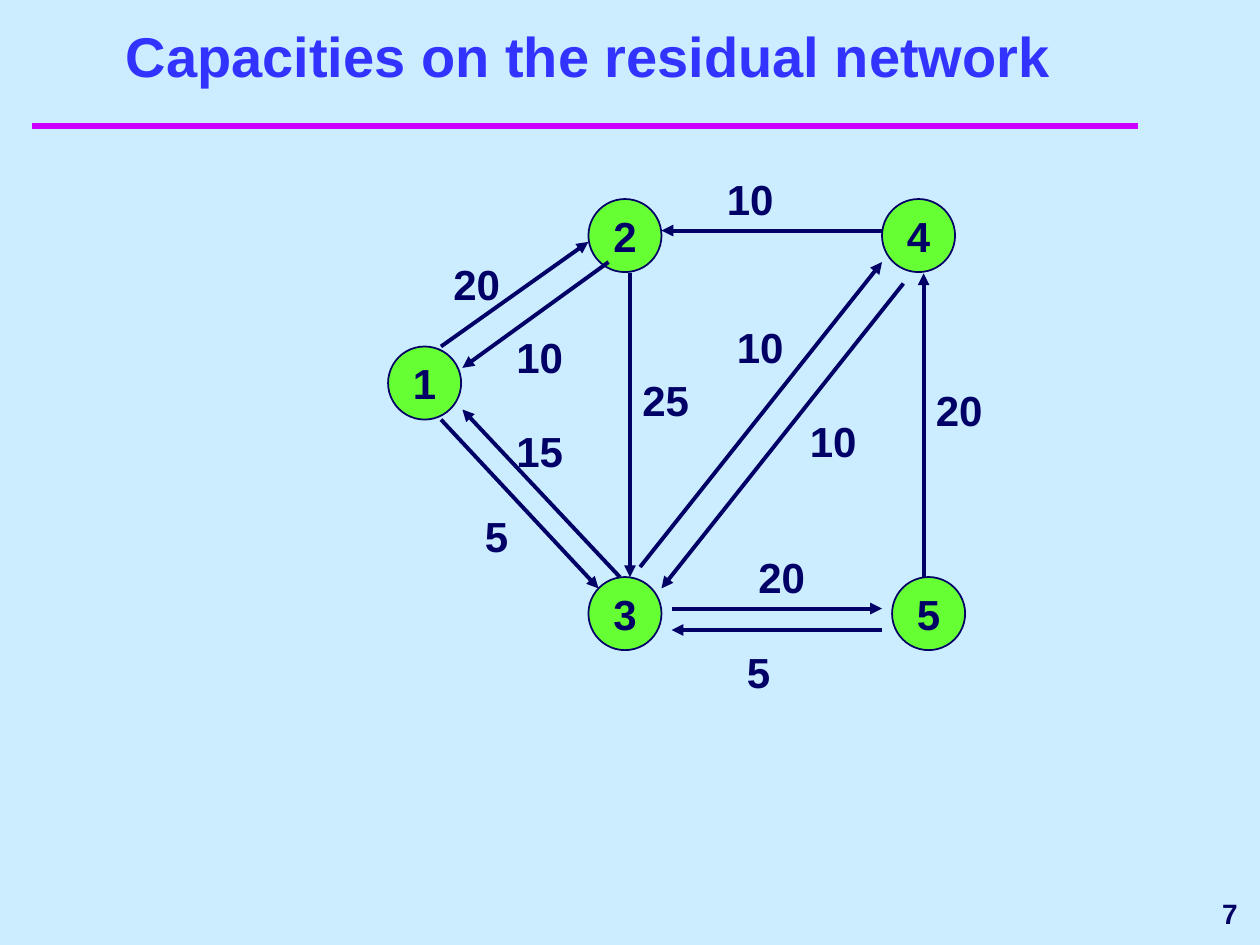
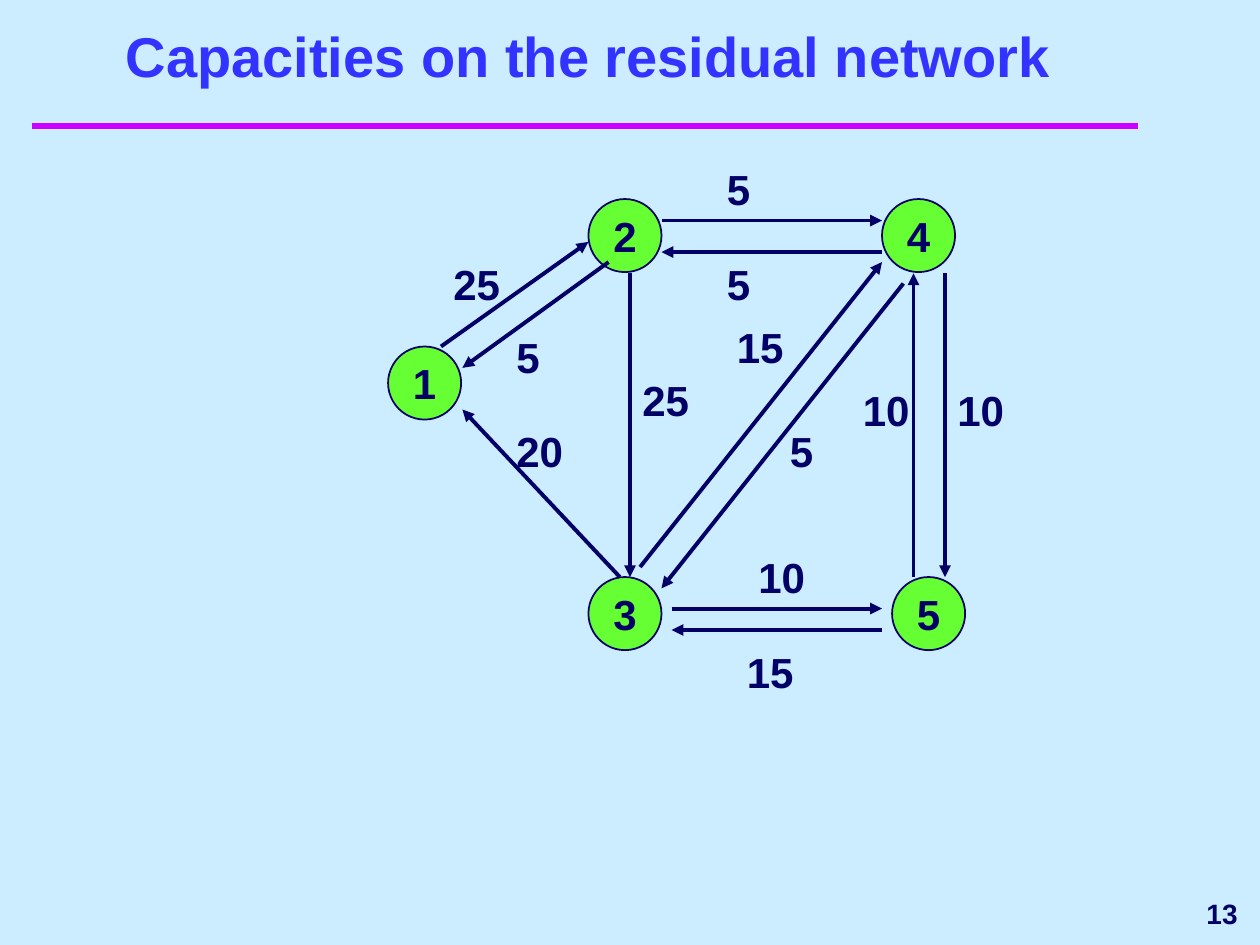
from pptx import Presentation
from pptx.dml.color import RGBColor as RGB
from pptx.enum.shapes import MSO_CONNECTOR as LINK, MSO_SHAPE as SHAPE
from pptx.enum.text import MSO_ANCHOR as ANCHOR, MSO_AUTO_SIZE as AUTO, PP_ALIGN as ALIGN
from pptx.oxml.ns import qn
from pptx.util import Inches, Pt
from lxml.etree import SubElement as add_sub

# Shared look
SKY, NAVY, BLUE = "CCECFF", "000066", "3333FF"
GREEN, PINK = "66FF33", "CC00FF"
FONT = "Arial"
TITLE = "Capacities on the residual network"

# Network nodes: name -> left, top
SIZE = 0.58
NODES = {"1": (3.08, 2.75), "2": (4.67, 1.58), "4": (7, 1.58),
         "3": (4.67, 4.58), "5": (7.08, 4.58)}

# Arcs on both slides: (from, to) -> tail point, tip point
ARCS = {
    "12": ((3.5, 2.75), (4.67, 1.92)),
    "21": ((4.83, 2.08), (3.67, 2.92)),
    "23": ((5, 2.17), (5, 4.58)),
    "31": ((4.92, 4.58), (3.67, 3.25)),
    "34": ((5.08, 4.5), (7, 2.08)),
    "43": ((7.17, 2.25), (5.25, 4.67)),
    "35": ((5.33, 4.83), (7, 4.83)),
    "53": ((7, 5), (5.33, 5)),
}
# Label corners on both slides
SPOTS = {"12": (3.5, 2), "21": (4, 2.58), "23": (5, 2.92), "31": (4, 3.33),
         "34": (5.75, 2.5), "35": (5.92, 4.33), "53": (5.83, 5.08)}
WIDE, SLIM = 1.17, 0.67
SLIM_ARCS = ("13", "35")

# Each slide: page, capacities, own arcs, own label corners
STEPS = [
    ("7",
     {"12": 20, "21": 10, "23": 25, "31": 15, "34": 10, "43": 10,
      "35": 20, "53": 5, "13": 5, "42": 10, "54": 20},
     {"13": ((3.5, 3.33), (4.75, 4.67)),
      "42": ((7, 1.83), (5.25, 1.83)),
      "54": ((7.33, 4.58), (7.33, 2.17))},
     {"13": (3.75, 4), "42": (5.67, 1.33), "54": (7.33, 3), "43": (6.33, 3.25)}),
    ("13",
     {"12": 25, "21": 5, "23": 25, "31": 20, "34": 15, "43": 5,
      "35": 10, "53": 15, "24": 5, "42": 5, "54": 10, "45": 10},
     {"24": ((5.25, 1.75), (7, 1.75)),
      "42": ((7, 2), (5.25, 2)),
      "54": ((7.25, 4.58), (7.25, 2.17)),
      "45": ((7.5, 2.17), (7.5, 4.58))},
     {"24": (5.67, 1.25), "42": (5.67, 2), "54": (6.75, 3), "45": (7.5, 3),
      "43": (6.17, 3.33)}),
]


def paint(target, color):
    """Give a fill one solid colour."""
    target.solid()
    target.fore_color.rgb = RGB.from_string(color)


def write(frame, text, size=24, color=NAVY, align=ALIGN.LEFT):
    para = frame.paragraphs[0]
    para.text = text
    para.alignment = align
    font = para.font
    font.name, font.size, font.bold = FONT, Pt(size), True
    font.color.rgb = RGB.from_string(color)


def add_text(slide, text, box, anchor=ANCHOR.TOP, fit=AUTO.NONE, **style):
    frame = slide.shapes.add_textbox(*map(Inches, box)).text_frame
    frame.word_wrap = True
    frame.auto_size = fit
    frame.vertical_anchor = anchor
    write(frame, text, **style)


def add_line(slide, start, end, color=NAVY, width=2.25, arrow=True):
    line = slide.shapes.add_connector(LINK.STRAIGHT, *map(Inches, start + end))
    paint(line.line.fill, color)
    line.line.width = Pt(width)
    props = line.element.spPr
    if arrow:
        add_sub(props.find(qn("a:ln")), qn("a:tailEnd"), type="triangle")
    add_sub(props, qn("a:effectLst"))


def add_node(slide, name, spot):
    node = slide.shapes.add_shape(SHAPE.OVAL, *map(Inches, spot + (SIZE, SIZE)))
    node.shadow.inherit = False
    paint(node.fill, GREEN)
    paint(node.line.fill, NAVY)
    node.line.width = Pt(1)
    frame = node.text_frame
    frame.word_wrap = False
    frame.vertical_anchor = ANCHOR.MIDDLE
    write(frame, name, align=ALIGN.CENTER)


def add_frame(deck, page):
    """Start a slide with background, rule, title and page number."""
    slide = deck.slides.add_slide(deck.slide_layouts[6])
    paint(slide.background.fill, SKY)
    add_line(slide, (0.25, 1), (9.03, 1), PINK, 4, arrow=False)
    add_text(slide, TITLE, (0.42, 0.33, 8.5, 0.42), ANCHOR.BOTTOM,
             size=32, color=BLUE, align=ALIGN.CENTER)
    add_text(slide, page, (8, 7, 1.92, 0.5), ANCHOR.MIDDLE,
             size=16, align=ALIGN.RIGHT)
    return slide


def add_graph(slide, caps, arcs, spots):
    for name, spot in NODES.items():
        add_node(slide, name, spot)
    for key, cap in caps.items():
        add_line(slide, *arcs[key])
        width = SLIM if key in SLIM_ARCS else WIDE
        add_text(slide, str(cap), spots[key] + (width, 0.5),
                 fit=AUTO.SHAPE_TO_FIT_TEXT)


def main():
    deck = Presentation()
    deck.slide_width, deck.slide_height = Inches(10), Inches(7.5)
    for page, caps, arcs, spots in STEPS:
        slide = add_frame(deck, page)
        add_graph(slide, caps, {**ARCS, **arcs}, {**SPOTS, **spots})
    deck.save("out.pptx")


if __name__ == "__main__":
    main()
